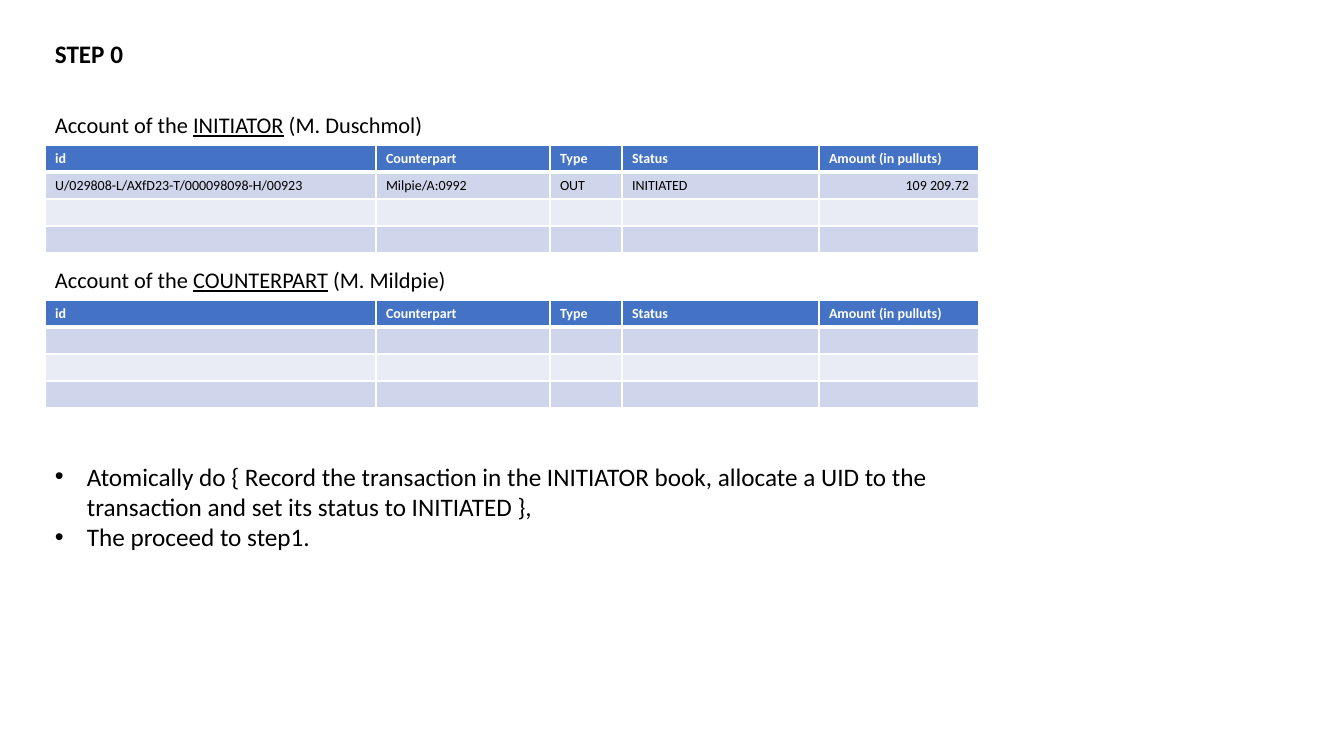
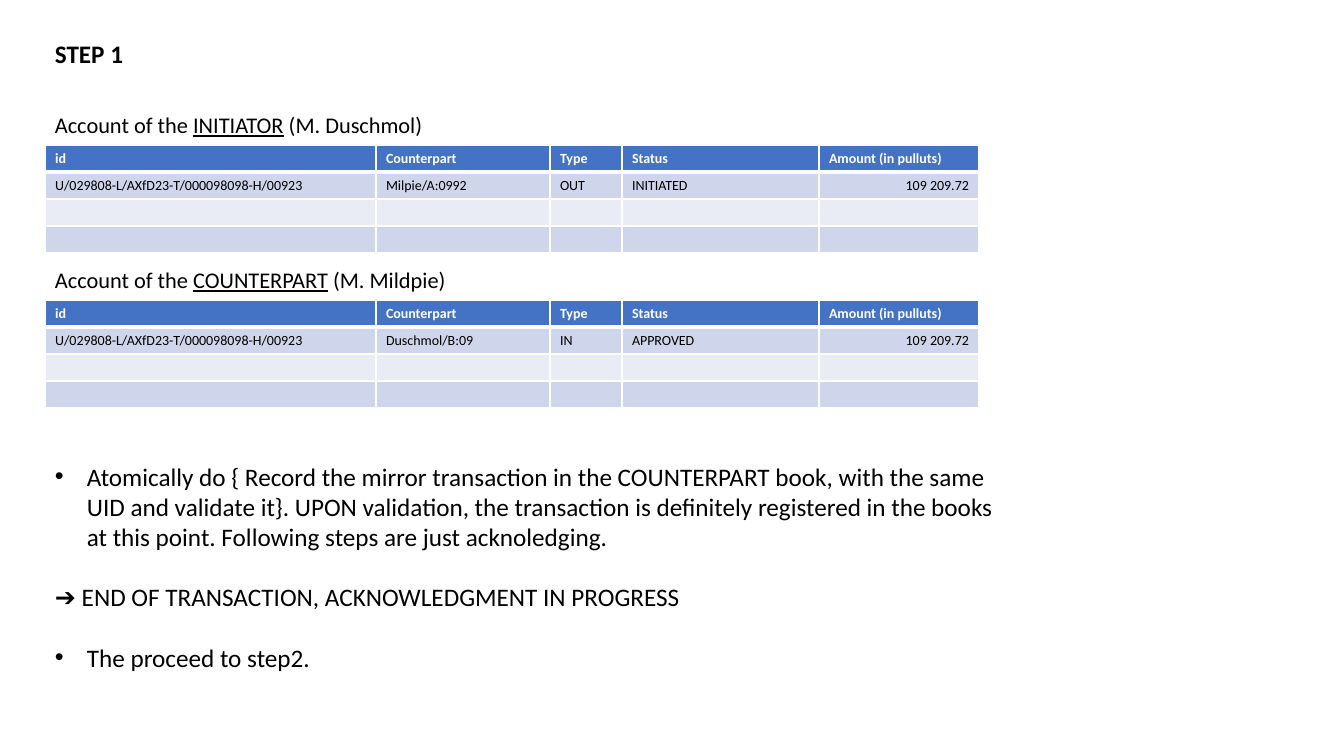
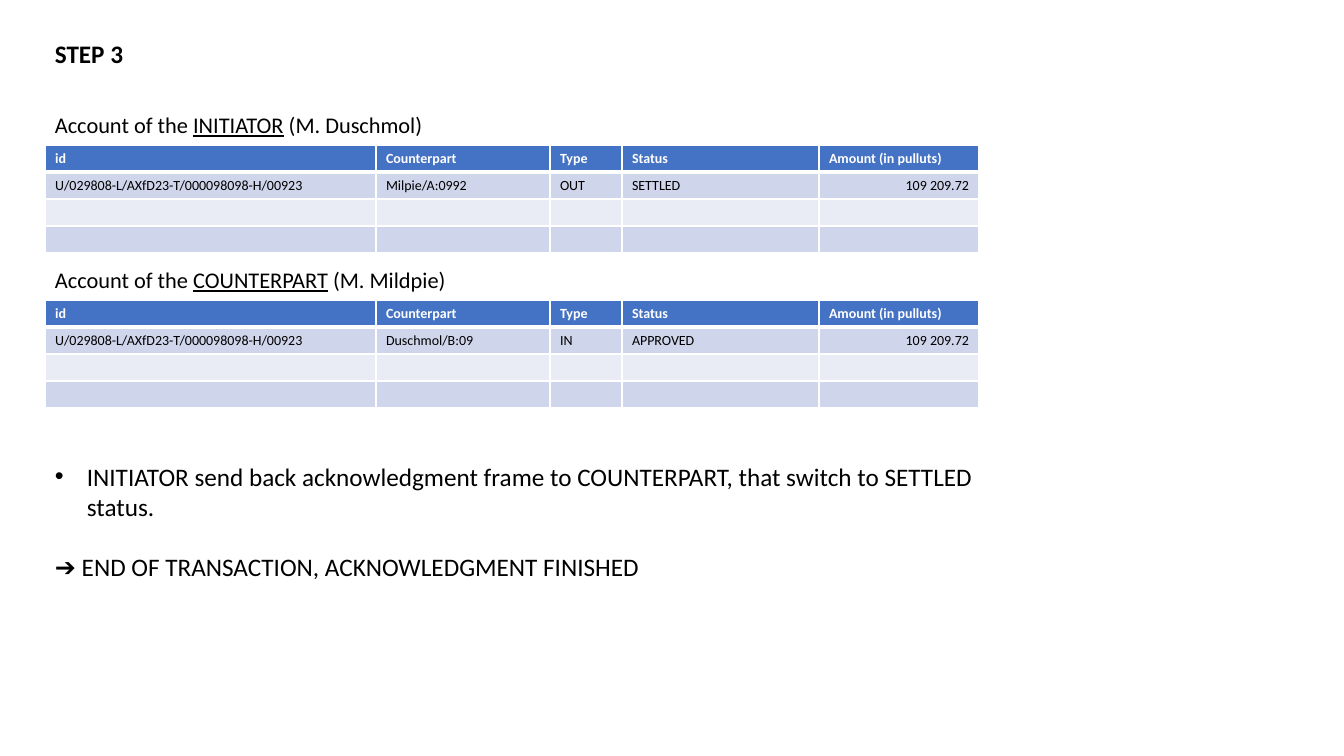
from dataclasses import dataclass

import lxml.etree
import pptx
import pptx.dml.color
import pptx.enum.text
import pptx.oxml.ns
import pptx.util

# Shared look
EMU_PER_PX = 914400 / 100.8
FONT = "Calibri"
COLORS = {
    "text": "000000",
    "white": "FFFFFF",
    "header": "4472C4",
    "band_dark": "CFD5EA",
    "band_light": "E9EBF5",
}
LEFT = 45
INDENT = 32
COLUMN_WIDTHS = [331, 174, 72, 197, 160]
ROW_HEIGHT = 27
ROW_COUNT = 4
HEADINGS = ("id", "Counterpart", "Type", "Status", "Amount (in pulluts)")
TABLE_SIZE = 10
LINE_GAP = 21.5

UID = "U/029808-L/AXfD23-T/000098098-H/00923"
AMOUNT = "109 209.72"


@dataclass(frozen=True)
class Account:
    role: str
    owner: str
    label_top: int
    label_width: int
    table_top: int


@dataclass(frozen=True)
class Line:
    text: str
    bullet: bool = True
    gap: bool = False


@dataclass(frozen=True)
class Step:
    title: str
    records: tuple[tuple[str, ...], ...]
    lines: tuple[Line, ...]
    body_height: int


# Content
ACCOUNTS = (
    Account("INITIATOR", "M. Duschmol", 106, 392, 145),
    Account("COUNTERPART", "M. Mildpie", 261, 415, 300),
)
INITIATED = (UID, "Milpie/A:0992", "OUT", "INITIATED", AMOUNT)
SETTLED = (UID, "Milpie/A:0992", "OUT", "SETTLED", AMOUNT)
APPROVED = (UID, "Duschmol/B:09", "IN", "APPROVED", AMOUNT)

STEPS = (
    Step("STEP 0", (INITIATED, ()), (
        Line("Atomically do { Record the transaction in the INITIATOR book, allocate a UID "
             "to the transaction and set its status to INITIATED },"),
        Line("The proceed to step1."),
    ), 132),
    Step("STEP 1", (INITIATED, APPROVED), (
        Line("Atomically do { Record the mirror transaction in the COUNTERPART book, with the "
             "same UID and validate it}. UPON validation, the transaction is definitely "
             "registered in the books at this point. Following steps are just acknoledging."),
        Line("➔ END OF TRANSACTION, ACKNOWLEDGMENT IN PROGRESS", bullet=False, gap=True),
        Line("The proceed to step2.", gap=True),
    ), 254),
    Step("STEP 3", (SETTLED, APPROVED), (
        Line("INITIATOR send back acknowledgment frame to COUNTERPART, that switch to "
             "SETTLED status."),
        Line("➔ END OF TRANSACTION, ACKNOWLEDGMENT FINISHED", bullet=False, gap=True),
    ), 163),
)


def px(length: int) -> pptx.util.Emu:
    return pptx.util.Emu(round(length * EMU_PER_PX))


def rgb(name: str) -> pptx.dml.color.RGBColor:
    return pptx.dml.color.RGBColor.from_string(COLORS[name])


def add_child(parent, tag: str, **attributes: str):
    return lxml.etree.SubElement(parent, pptx.oxml.ns.qn(tag), attributes)


def add_span(para, text: str, *, size: int, color: str = "text",
             bold: bool = False, underline: bool = False) -> None:
    span = para.add_run()
    span.text = text
    span.font.name = FONT
    span.font.size = pptx.util.Pt(size)
    span.font.bold = bold
    span.font.underline = underline
    span.font.color.rgb = rgb(color)


def add_text_box(page, top: int, width: int, height: int, wrap: bool = False):
    box = page.shapes.add_textbox(px(LEFT), px(top), px(width), px(height))
    frame = box.text_frame
    frame.word_wrap = wrap
    frame.auto_size = pptx.enum.text.MSO_AUTO_SIZE.SHAPE_TO_FIT_TEXT
    return frame


def set_borders(cell, widths: dict[str, int]) -> None:
    properties = cell._tc.get_or_add_tcPr()
    for position, (side, points) in enumerate(widths.items()):
        line = add_child(properties, f"a:ln{side}", w=str(pptx.util.Pt(points)))
        add_child(add_child(line, "a:solidFill"), "a:srgbClr", val=COLORS["white"])
        properties.insert(position, line)


def add_account_table(page, top: int, record: tuple[str, ...]) -> None:
    table = page.shapes.add_table(
        ROW_COUNT, len(COLUMN_WIDTHS), px(LEFT), px(top),
        px(sum(COLUMN_WIDTHS)), px(ROW_HEIGHT * ROW_COUNT)).table
    for column, width in zip(table.columns, COLUMN_WIDTHS):
        column.width = px(width)
    texts = {0: HEADINGS, 1: record}
    for row_index, row in enumerate(table.rows):
        row.height = px(ROW_HEIGHT)
        is_header = row_index == 0
        band = "header" if is_header else "band_dark" if row_index % 2 else "band_light"
        values = texts.get(row_index) or [""] * len(COLUMN_WIDTHS)
        for column_index, (cell, value) in enumerate(zip(row.cells, values)):
            cell.fill.solid()
            cell.fill.fore_color.rgb = rgb(band)
            set_borders(cell, {"L": 1, "R": 1, "T": 3 if row_index == 1 else 1,
                               "B": 3 if is_header else 1})
            para = cell.text_frame.paragraphs[0]
            if value:
                add_span(para, value, size=TABLE_SIZE, bold=is_header,
                         color="white" if is_header else "text")
            else:
                add_child(para._p, "a:endParaRPr", sz=str(TABLE_SIZE * 100))
            if not is_header and value and column_index == len(COLUMN_WIDTHS) - 1:
                para.alignment = pptx.enum.text.PP_ALIGN.RIGHT


def add_account(page, account: Account, record: tuple[str, ...]) -> None:
    para = add_text_box(page, account.label_top, account.label_width, 37).paragraphs[0]
    add_span(para, "Account of the ", size=16)
    add_span(para, account.role, size=16, underline=True)
    add_span(para, f" ({account.owner})", size=16)
    add_account_table(page, account.table_top, record)


def add_body(page, step: Step) -> None:
    frame = add_text_box(page, 456, 981, step.body_height, wrap=True)
    for index, line in enumerate(step.lines):
        para = frame.add_paragraph() if index else frame.paragraphs[0]
        if line.gap:
            para.space_before = pptx.util.Pt(LINE_GAP)
        if line.bullet:
            properties = para._p.get_or_add_pPr()
            properties.set("marL", str(px(INDENT)))
            properties.set("indent", str(-px(INDENT)))
            add_child(properties, "a:buFont", typeface="Arial")
            add_child(properties, "a:buChar", char="•")
        add_span(para, line.text, size=18)


def add_step(deck, step: Step) -> None:
    page = deck.slides.add_slide(deck.slide_layouts[6])
    title = add_text_box(page, 33, 90, 40).paragraphs[0]
    add_span(title, step.title, size=18, bold=True)
    for account, record in zip(ACCOUNTS, step.records):
        add_account(page, account, record)
    add_body(page, step)


def main() -> None:
    deck = pptx.Presentation()
    deck.slide_width = px(1344)
    deck.slide_height = px(756)
    for step in STEPS:
        add_step(deck, step)
    deck.save("out.pptx")


if __name__ == "__main__":
    main()
